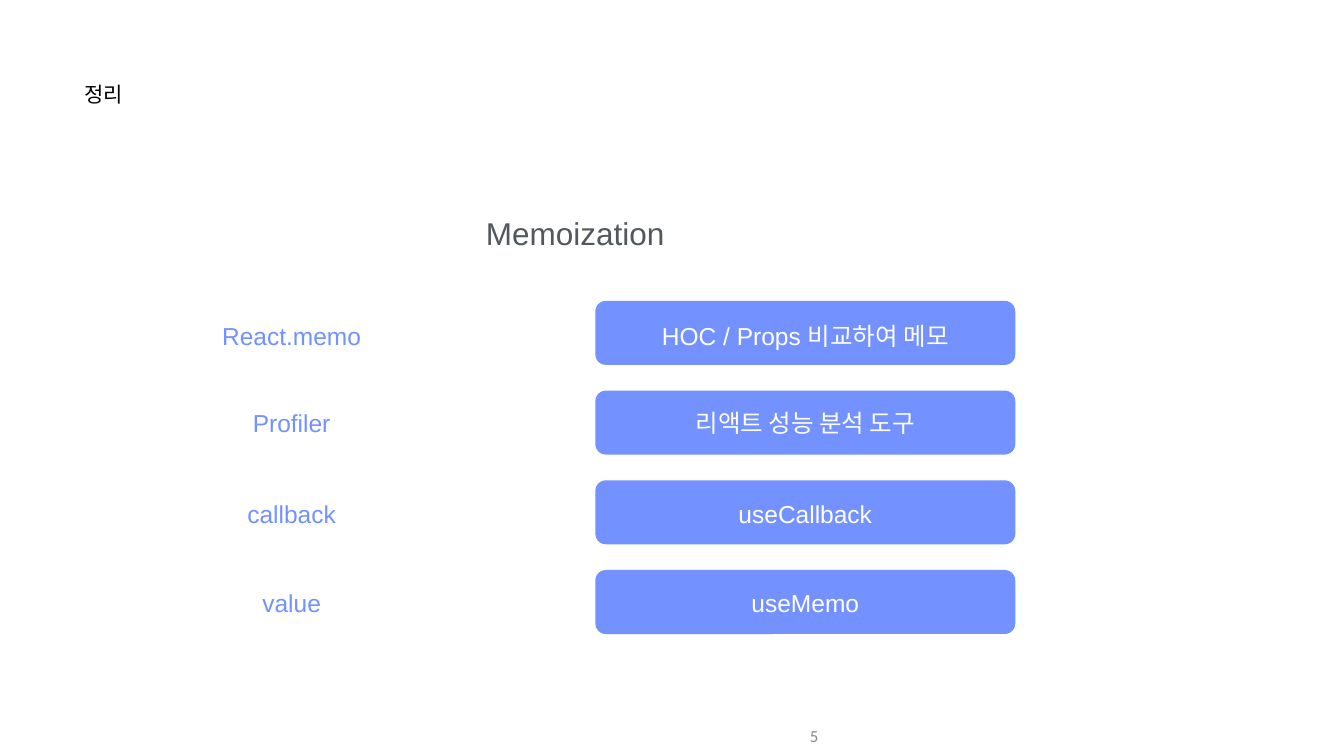
from dataclasses import dataclass

from pptx import Presentation
from pptx.dml.color import RGBColor
from pptx.enum.shapes import MSO_SHAPE
from pptx.enum.text import MSO_ANCHOR as Anchor, PP_ALIGN as Align
from pptx.util import Pt


@dataclass(frozen=True)
class Theme:
    black: str = "000000"
    white: str = "FFFFFF"
    slate: str = "53585F"
    gray: str = "888888"
    blue: str = "7391FF"
    body_font: str = "Arial"
    number_font: str = "Calibri"
    title: float = 30
    heading: float = 45
    row: float = 35
    number: float = 24


T = Theme()

# Label, description, and how far the text sits below the row's middle
ROWS = [
    ("React.memo", "HOC / Props 비교하여 메모", 4),
    ("Profiler", "리액트 성능 분석 도구", 0.4),
    ("callback", "useCallback", 2.5),
    ("value", "useMemo", 0.4),
]


def write(shape, text, size, color, align=Align.CENTER, anchor=Anchor.MIDDLE,
          font=T.body_font, inset=(0.72, 0.72)):
    tf = shape.text_frame
    tf.word_wrap = True
    tf.vertical_anchor = anchor
    tf.margin_left = tf.margin_right = Pt(inset[0])
    tf.margin_top = tf.margin_bottom = Pt(inset[1])
    p = tf.paragraphs[0]
    p.text = text
    p.alignment = align
    r = p.runs[0]
    r.font.name = font
    r.font.size = Pt(size)
    r.font.color.rgb = RGBColor.from_string(color)


def add_text(s, box, *args, **kwargs):
    tb = s.shapes.add_textbox(*map(Pt, box))
    write(tb, *args, **kwargs)


def add_pill(s, box, text, drop):
    sp = s.shapes.add_shape(MSO_SHAPE.ROUNDED_RECTANGLE, *map(Pt, box))
    sp.adjustments[0] = 0.164
    sp.shadow.inherit = False
    sp.fill.solid()
    sp.fill.fore_color.rgb = RGBColor.from_string(T.blue)
    sp.line.fill.background()
    write(sp, text, T.row, T.white)
    sp.text_frame.margin_top = Pt(0.72 + 2 * drop)


def add_rows(s, box, rows):
    """Labels on the left, filled descriptions on the right."""
    x, y, w, h = box
    row_h, label_w, label_h, pill_w = 91.44, 450, 44.64, 599.76
    pitch = (h - row_h) / (len(rows) - 1)
    for i, (label, text, drop) in enumerate(rows):
        top = y + i * pitch
        label_top = top + (row_h - label_h) / 2 + drop
        add_text(s, (x, label_top, label_w, label_h), label, T.row, T.blue)
        add_pill(s, (x + w - pill_w, top, pill_w, row_h), text, drop)


def add_header(s, box):
    """Slide title with the centred topic below it."""
    x, y, w, h = box
    add_text(s, (x, y, 349.92, 84.96), "정리", T.title, T.black,
             align=Align.LEFT, anchor=Anchor.TOP)
    topic_w, topic_h = 1262.88, 56.88
    add_text(s, (x + w - topic_w, y + h - topic_h, topic_w, topic_h),
             "Memoization", T.heading, T.slate, anchor=Anchor.TOP)


def add_page_number(s, box, number):
    add_text(s, box, str(number), T.number, T.gray, align=Align.RIGHT,
             font=T.number_font, inset=(7.2, 3.6))


def main():
    prs = Presentation()
    prs.slide_width, prs.slide_height = Pt(1919.52), Pt(1080)
    s = prs.slides.add_slide(prs.slide_layouts[6])

    add_header(s, (120.24, 115.2, 1332.72, 246.96))
    add_rows(s, (191.52, 429.84, 1258.56, 475.92), ROWS)
    add_page_number(s, (743.76, 1023.12, 432, 56.88), 5)

    prs.save("out.pptx")


if __name__ == "__main__":
    main()
